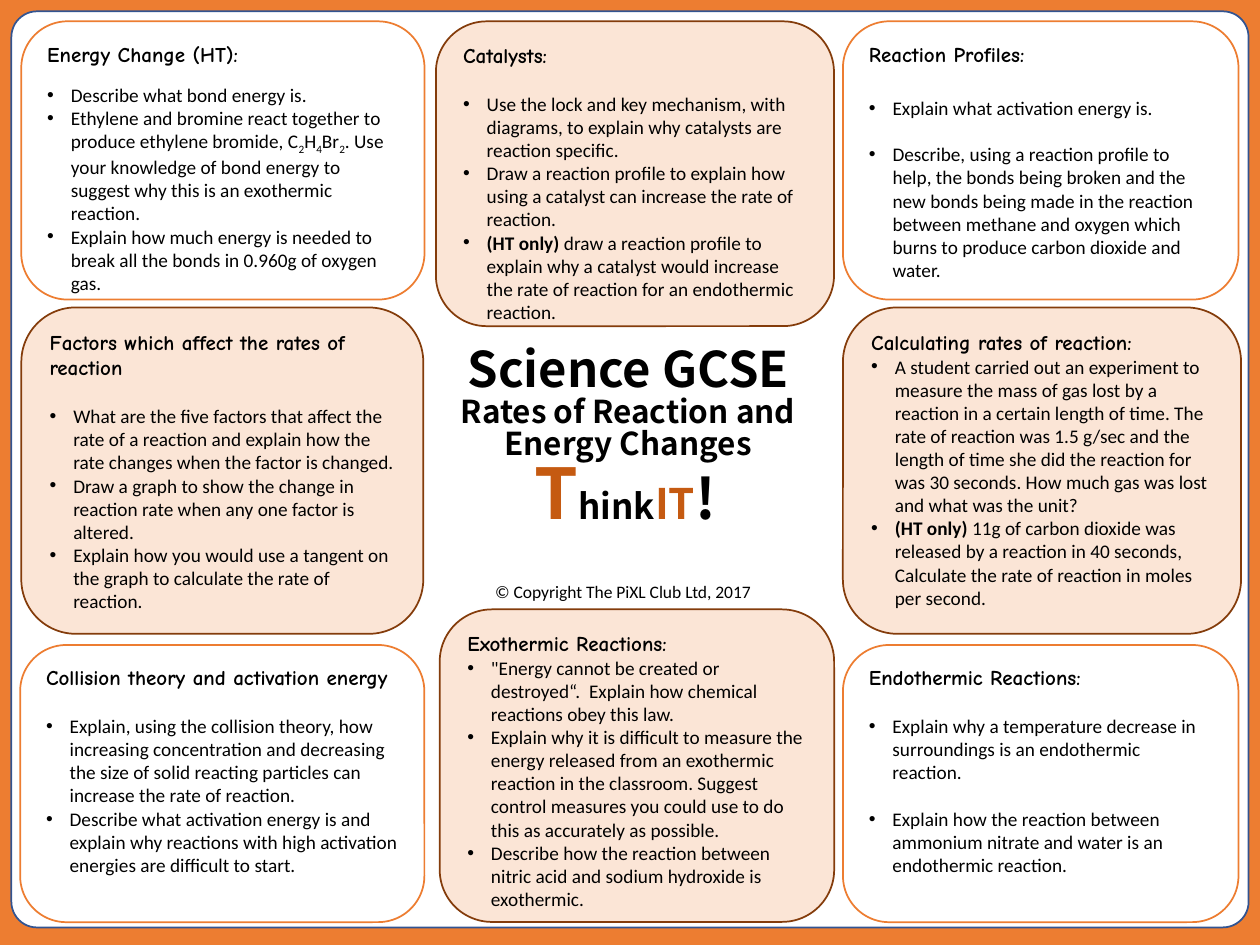
from dataclasses import dataclass

from lxml import etree
from pptx import Presentation
from pptx.dml.color import RGBColor
from pptx.enum import shapes, text
from pptx.oxml import ns
from pptx.util import Pt


@dataclass(frozen=True)
class Theme:
    rust: str = "C55A11"
    orange: str = "ED7D31"
    brown: str = "843C0B"
    peach: str = "FBE5D6"
    blue: str = "325491"
    white: str = "FFFFFF"
    black: str = "000000"
    body: str = "Calibri"
    hand: str = "Comic Neue"
    sans: str = "Noto Sans CJK KR"
    head: float = 12
    item: float = 11
    note: float = 10
    indent: float = 13.5


T = Theme()
PLAIN = (T.white, T.orange)
TINT = (T.peach, T.brown)
HEAD = dict(name=T.hand, size=Pt(T.head), bold=True)
ITEM = dict(name=T.body, size=Pt(T.item), bold=False)
NOTE = dict(name=T.body, size=Pt(T.note), bold=False)

# Each card: box, colours, heading, gap under heading, gap between items, items.
# *...* is bold and _..._ is subscript.
CARDS = [
    ((481.7, 12.2, 226, 159), PLAIN, "Reaction Profiles:", 17, 13.4, [
        "Explain what activation energy is.",
        "Describe, using a reaction profile to help, the bonds being broken and the new "
        "bonds being made in the reaction between methane and oxygen which burns to "
        "produce carbon dioxide and water."]),
    ((12.2, 12.2, 230.4, 159), PLAIN, "Energy Change (HT):", 9.5, 0, [
        "Describe what bond energy is.",
        "Ethylene and bromine react together to produce ethylene bromide, C_2_H_4_Br_2_. "
        "Use your knowledge of bond energy to suggest why this is an exothermic reaction.",
        "Explain how much energy is needed to break all the bonds in 0.960g of oxygen gas."]),
    ((481.7, 175.7, 227.5, 186.5), TINT, "Calculating rates of reaction:", 0, 0, [
        "A student carried out an experiment to measure the mass of gas lost by a reaction "
        "in a certain length of time. The rate of reaction was 1.5 g/sec and the length of "
        "time she did the reaction for was 30 seconds. How much gas was lost and what was "
        "the unit?",
        "*(HT only) *11g of carbon dioxide was released by a reaction in 40 seconds, "
        "Calculate the rate of reaction in moles per second."]),
    ((481.7, 368.6, 226, 158.4), PLAIN, "Endothermic Reactions:", 14, 13.4, [
        "Explain why a temperature decrease in surroundings is an endothermic reaction.",
        "Explain how the reaction between ammonium nitrate and water is an endothermic "
        "reaction."]),
    ((11.5, 368.6, 231, 158.4), PLAIN, "Collision theory and activation energy", 14, 0, [
        "Explain, using the collision theory, how increasing concentration and decreasing "
        "the size of solid reacting particles can increase the rate of reaction.",
        "Describe what activation energy is and explain why reactions with high activation "
        "energies are difficult to start."]),
    ((251.3, 348.2, 225.4, 178.6), TINT, "Exothermic Reactions:", 0, 0, [
        "\"Energy cannot be created or destroyed“.  Explain how chemical reactions obey "
        "this law.",
        "Explain why it is difficult to measure the energy released from an exothermic "
        "reaction in the classroom. Suggest control measures you could use to do this as "
        "accurately as possible.",
        "Describe how the reaction between nitric acid and sodium hydroxide is exothermic."]),
    ((12.2, 175.7, 229.7, 186.5), TINT, "Factors which affect the rates of reaction", 14, 0, [
        "What are the five factors that affect the rate of a reaction and explain how the "
        "rate changes when the factor is changed.",
        "Draw a graph to show the change in reaction rate when any one factor is altered.",
        "Explain how you would use a tangent on the graph to calculate the rate of "
        "reaction."]),
    ((249.1, 12.2, 227.5, 174.2), TINT, "Catalysts:", 14, 0, [
        "Use the lock and key mechanism, with diagrams, to explain why catalysts are "
        "reaction specific.",
        "Draw a reaction profile to explain how using a catalyst can increase the rate of "
        "reaction.",
        "*(HT only) *draw a reaction profile to explain why a catalyst would increase the "
        "rate of reaction for an endothermic reaction."]),
]


def apply(obj, vals):
    for key, val in vals.items():
        setattr(obj, key, val)


def add_run(para, words, vals, color=T.black):
    run = para.add_run()
    run.text = words
    apply(run.font, vals)
    run.font.color.rgb = RGBColor.from_string(color)
    return run


def add_panel(slide, box, colors, line=1):
    panel = slide.shapes.add_shape(shapes.MSO_SHAPE.ROUNDED_RECTANGLE, *map(Pt, box))
    panel.shadow.inherit = False
    fill, edge = colors
    panel.fill.solid()
    panel.fill.fore_color.rgb = RGBColor.from_string(fill)
    panel.line.color.rgb = RGBColor.from_string(edge)
    panel.line.width = Pt(line)
    return panel


def add_item(frame, words):
    para = frame.add_paragraph()
    para.alignment = text.PP_ALIGN.LEFT
    props = para._p.get_or_add_pPr()
    props.set("marL", str(Pt(T.indent)))
    props.set("indent", str(-Pt(T.indent)))
    etree.SubElement(props, ns.qn("a:buFont"), typeface="Arial")
    etree.SubElement(props, ns.qn("a:buChar"), char="•")
    mark = "*" if "*" in words else "_"
    for i, part in enumerate(words.split(mark)):
        if not part:
            continue
        run = add_run(para, part, ITEM)
        if i % 2 and mark == "*":
            run.font.bold = True
        elif i % 2:
            run.font._element.set("baseline", "-25000")
    return para


def add_card(slide, box, colors, head, drop, gap, items):
    frame = add_panel(slide, box, colors).text_frame
    apply(frame, dict(word_wrap=True, vertical_anchor=text.MSO_ANCHOR.TOP))
    para = frame.paragraphs[0]
    apply(para, dict(alignment=text.PP_ALIGN.LEFT, space_after=Pt(drop)))
    add_run(para, head, HEAD)
    for i, words in enumerate(items):
        para = add_item(frame, words)
        if i and gap:
            para.space_before = Pt(gap)


def set_title(slide):
    title = slide.shapes.title
    left, top, width, height = map(Pt, (252.7, 195.1, 212.4, 133.2))
    apply(title, dict(left=left, top=top, width=width, height=height))
    frame = title.text_frame
    apply(frame, dict(word_wrap=True, auto_size=text.MSO_AUTO_SIZE.NONE,
                      vertical_anchor=text.MSO_ANCHOR.TOP))
    lines = [
        [("Edition GCSE ".replace("Edition", "Science"), 28, T.black),
         ("Rates of Reaction and Energy Changes", 18, T.black)],
        [(" ", 18, T.black), ("T", 40, T.rust), ("hink", 20, T.black),
         ("IT", 24, T.rust), ("! ", 32, T.black)],
    ]
    for i, runs in enumerate(lines):
        para = frame.add_paragraph() if i else frame.paragraphs[0]
        apply(para, dict(alignment=text.PP_ALIGN.CENTER, line_spacing=0.85,
                         space_before=Pt(0)))
        for words, size, color in runs:
            add_run(para, words, dict(name=T.sans, size=Pt(size), bold=True), color)
    # Bring the title in front of the page panel
    slide.shapes._spTree.append(title._element)


def add_note(slide, box, words):
    frame = slide.shapes.add_textbox(*map(Pt, box)).text_frame
    frame.word_wrap = True
    add_run(frame.paragraphs[0], words, NOTE)


def main():
    deck = Presentation()
    apply(deck, dict(slide_width=Pt(720), slide_height=Pt(540)))
    slide = deck.slides.add_slide(deck.slide_layouts[5])

    # Page
    back = slide.background.fill
    back.solid()
    back.fore_color.rgb = RGBColor.from_string(T.orange)
    page = add_panel(slide, (6.5, 6.5, 707, 523.5), (T.white, T.blue))
    page.adjustments[0] = 0.028

    # Centre title, question cards and copyright line
    set_title(slide)
    for card in CARDS:
        add_card(slide, *card)
    add_note(slide, (275.8, 328.3, 171.4, 20.2), "© Copyright The PiXL Club Ltd, 2017")
    deck.save("out.pptx")


if __name__ == "__main__":
    main()
